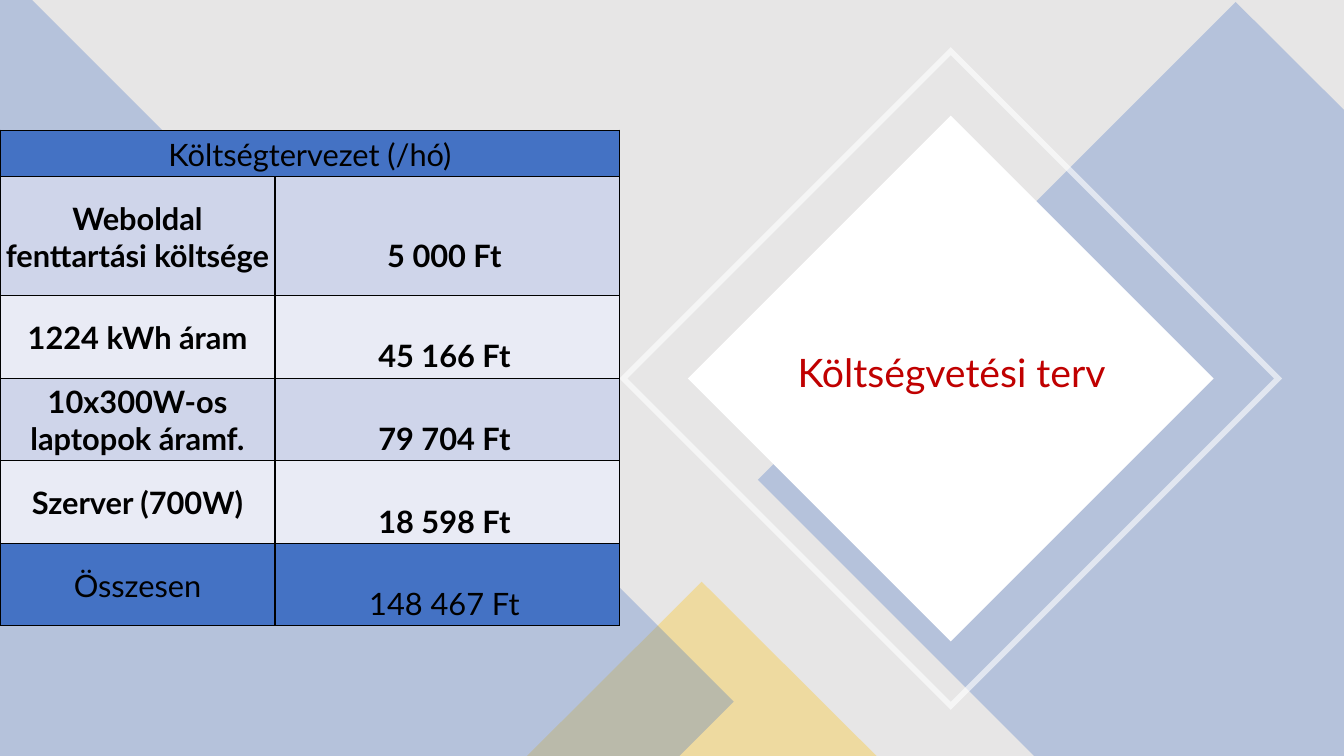
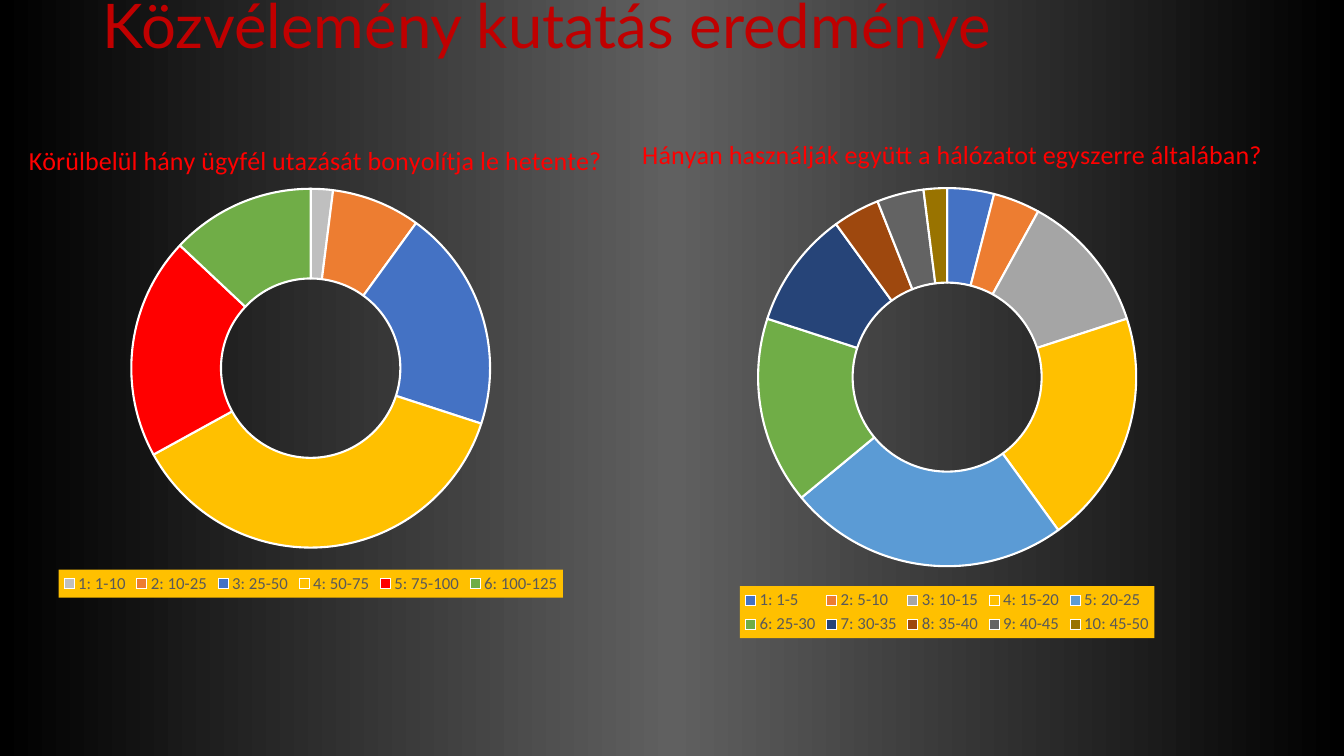
from dataclasses import dataclass

from pptx import Presentation
from pptx.chart.data import CategoryChartData
from pptx.dml.color import RGBColor
from pptx.enum.chart import XL_CHART_TYPE, XL_LEGEND_POSITION
from pptx.enum.shapes import MSO_SHAPE
from pptx.enum.text import MSO_ANCHOR, PP_ALIGN
from pptx.oxml import parse_xml
from pptx.oxml.ns import nsdecls, qn
from pptx.util import Cm, Pt


@dataclass(frozen=True)
class Theme:
    """Colours, fonts and type sizes of the deck."""

    black: str = "000000"
    white: str = "FFFFFF"
    backdrop: str = "E7E6E6"
    glow: str = "606060"
    blue: str = "4472C4"
    gold: str = "FFC000"
    orange: str = "ED7D31"
    green: str = "70AD47"
    red: str = "FF0000"
    title: str = "C00000"
    legend: str = "595959"
    row_dark: str = "CFD5EA"
    row_light: str = "E9EBF5"
    font: str = "Lato"
    chart_font: str = "Calibri"
    title_size: float = 44
    diamond_title_size: float = 28
    table_size: float = 22
    question_size: float = 18.6
    legend_size: float = 12
    chart_size: float = 10


THEME = Theme()
WIDTH, HEIGHT = 33.87, 19.05


def style_font(font, name, size, colour):
    """Set typeface, size and colour of regular text."""
    font.name, font.size, font.bold = name, Pt(size), False
    font.color.rgb = RGBColor.from_string(colour)


def paint(shape, colour, opacity=100):
    """Give a shape a flat, possibly translucent fill without outline."""
    shape.shadow.inherit = False
    shape.line.fill.background()
    shape.fill.solid()
    shape.fill.fore_color.rgb = RGBColor.from_string(colour)
    if opacity < 100:
        tint = shape.element.spPr.find(qn("a:solidFill"))[0]
        tint.append(parse_xml(f'<a:alpha {nsdecls("a")} val="{opacity * 1000}"/>'))


def add_preset(slide, kind, box, colour, opacity=100):
    """Draw a preset shape in a box given in centimetres."""
    shape = slide.shapes.add_shape(kind, *map(Cm, box))
    paint(shape, colour, opacity)
    return shape


def add_diamond(slide, kind, side, colour, opacity=100):
    """Draw a square standing on its corner around the title's centre."""
    box = (23.96 - side / 2, 9.54 - side / 2, side, side)
    diamond = add_preset(slide, kind, box, colour, opacity)
    diamond.rotation = 45
    return diamond


def add_band(slide, corners):
    """Draw a translucent blue polygon through the corners."""
    points = [(Cm(x), Cm(y)) for x, y in corners]
    builder = slide.shapes.build_freeform(*points[0])
    builder.add_line_segments(points[1:], close=True)
    paint(builder.convert_to_shape(), THEME.blue, 30)


def add_title(slide, text, box, size, align):
    """Write a slide title, centred vertically in its box."""
    frame = slide.shapes.add_textbox(*map(Cm, box)).text_frame
    frame.word_wrap = True
    frame.vertical_anchor = MSO_ANCHOR.MIDDLE
    frame.text = text
    line = frame.paragraphs[0]
    line.alignment, line.line_spacing = align, 0.9
    style_font(line.runs[0].font, THEME.font, size, THEME.title)


def fill_cell(cell, text, colour, bold=False, is_value=False):
    """Write one bordered table cell, with values set a line lower."""
    properties = cell._tc.get_or_add_tcPr()
    for side in "LRTB":
        properties.append(parse_xml(
            f'<a:ln{side} {nsdecls("a")} w="12700"><a:solidFill>'
            f'<a:srgbClr val="{THEME.black}"/></a:solidFill></a:ln{side}>'))
    cell.fill.solid()
    cell.fill.fore_color.rgb = RGBColor.from_string(colour)
    cell.vertical_anchor = MSO_ANCHOR.MIDDLE
    cell.margin_left, cell.margin_bottom = Cm(0.05), 0
    cell.margin_right = Cm(0.2 if is_value else 0.05)
    cell.margin_top = Cm(0.96 if is_value else 0.05)
    cell.text = text
    line = cell.text_frame.paragraphs[0]
    line.alignment = PP_ALIGN.CENTER
    style_font(line.font, THEME.font, THEME.table_size, THEME.black)
    for run in line.runs:
        style_font(run.font, THEME.font, THEME.table_size, THEME.black)
        run.font.bold = bold


def add_cost_table(slide, heading, costs, total):
    """Build the monthly cost table with its heading and total rows."""
    widths = (6.93, 8.69)
    heights = (1.17, 3.0, 2.08, 2.08, 2.08, 2.08)
    table = slide.shapes.add_table(
        len(heights), len(widths), 0, Cm(3.28), Cm(sum(widths)), Cm(sum(heights))).table
    for column, width in zip(table.columns, widths):
        column.width = Cm(width)
    for row, height in zip(table.rows, heights):
        row.height = Cm(height)
    for index, (label, value) in enumerate([(heading, ""), *costs, total]):
        is_cost = 0 < index <= len(costs)
        stripe = THEME.row_dark if index % 2 else THEME.row_light
        colour = stripe if is_cost else THEME.blue
        fill_cell(table.cell(index, 0), label, colour, is_cost)
        fill_cell(table.cell(index, 1), value, colour, is_cost, bool(value))
    table.cell(0, 0).merge(table.cell(0, 1))


def place(element, position, target="", **fractions):
    """Give a chart part a manual layout in fractions of the chart."""
    for old in element.findall(qn("c:layout")):
        element.remove(old)
    modes = "".join(f'<c:{axis}Mode val="edge"/>' for axis in "xy")
    values = "".join(f'<c:{key} val="{value:.4f}"/>' for key, value in fractions.items())
    element.insert(position, parse_xml(
        f'<c:layout {nsdecls("c")}><c:manualLayout>{target}{modes}{values}'
        '</c:manualLayout></c:layout>'))


def add_question(chart, question, left):
    """Set the survey question as the chart title."""
    chart.has_title = True
    frame = chart.chart_title.text_frame
    frame.text = question
    style_font(frame.paragraphs[0].runs[0].font, THEME.chart_font,
               THEME.question_size, THEME.red)
    place(chart.chart_title._element, 1, x=left, y=0.04)


def add_legend(chart):
    """Put a gold legend under the ring."""
    chart.has_legend = True
    legend = chart.legend
    legend.position = XL_LEGEND_POSITION.BOTTOM
    legend.include_in_layout = False
    style_font(legend.font, THEME.chart_font, THEME.legend_size, THEME.legend)
    legend._element.find(qn("c:txPr")).addprevious(parse_xml(
        f'<c:spPr {nsdecls("c", "a")}><a:solidFill><a:srgbClr val="{THEME.gold}"/>'
        '</a:solidFill></c:spPr>'))


def add_survey_ring(slide, box, question, question_left, ring_height, answers):
    """Draw one survey question as a doughnut of (label, share, colour) answers."""
    labels, shares, colours = zip(*answers)
    data = CategoryChartData()
    data.categories = labels
    data.add_series("Series 1", shares)
    chart = slide.shapes.add_chart(XL_CHART_TYPE.DOUGHNUT, *map(Cm, box), data).chart
    style_font(chart.font, THEME.chart_font, THEME.chart_size, THEME.black)
    add_question(chart, question, question_left)
    add_legend(chart)
    ring = chart.plots[0]
    ring.vary_by_categories = True
    ring._element.find(qn("c:holeSize")).set("val", "75")
    ring_width = ring_height * box[3] / box[2]
    place(ring._element.getparent(), 0, '<c:layoutTarget val="inner"/>',
          x=(1 - ring_width) / 2, y=0.148, w=ring_width, h=ring_height)
    for index, colour in enumerate(colours):
        slice_format = ring.series[0].points[index].format
        slice_format.fill.solid()
        slice_format.fill.fore_color.rgb = RGBColor.from_string(colour)
        slice_format.line.color.rgb = RGBColor.from_string(THEME.white)
        slice_format.line.width = Pt(1.5)


def set_glow_background(slide):
    """Fill the background with a grey glow between black edges."""
    slide.background.fill.solid()
    flat = next(slide.element.iter(qn("p:bgPr"))).find(qn("a:solidFill"))
    stops = "".join(
        f'<a:gs pos="{position * 1000}"><a:srgbClr val="{colour}"/></a:gs>'
        for position, colour in ((0, THEME.black), (50, THEME.glow), (100, THEME.black)))
    flat.getparent().replace(flat, parse_xml(
        f'<a:gradFill {nsdecls("a")} rotWithShape="1"><a:gsLst>{stops}</a:gsLst>'
        '<a:lin ang="10800000" scaled="0"/></a:gradFill>'))


def build_budget(slide):
    """Lay out the budget slide."""
    add_preset(slide, MSO_SHAPE.RECTANGLE, (0, 0, WIDTH, HEIGHT), THEME.backdrop)
    add_band(slide, [(31.14, 0.05), (WIDTH, 2.77), (WIDTH, HEIGHT),
                     (26.06, HEIGHT), (19.1, 12.09)])
    add_preset(slide, MSO_SHAPE.ISOSCELES_TRIANGLE, (13.28, 14.66, 8.81, 4.39),
               THEME.gold, 30)
    add_diamond(slide, MSO_SHAPE.RECTANGLE, 9.37, THEME.white)
    outline = add_diamond(slide, MSO_SHAPE.FRAME, 11.81, THEME.white, 60)
    outline.adjustments[0] = 0.012
    add_title(slide, "Költségvetési terv", (18.95, 7.57, 10.06, 3.73),
              THEME.diamond_title_size, PP_ALIGN.CENTER)
    add_band(slide, [(0.81, 0), (0, 0), (0, HEIGHT), (17.12, HEIGHT), (18.49, 17.68)])
    add_cost_table(slide, "Költségtervezet (/hó)", [
        ("Weboldal fenttartási költsége", "5 000 Ft"),
        ("1224 kWh áram", "45 166 Ft"),
        ("10x300W-os laptopok áramf.", "79 704 Ft"),
        ("Szerver (700W)", "18 598 Ft"),
    ], ("Összesen", "148 467 Ft"))


def build_survey(slide):
    """Lay out the survey slide."""
    set_glow_background(slide)
    add_survey_ring(
        slide, (-2.95, 2.97, 21.56, 12.09),
        "Körülbelül hány ügyfél utazását bonyolítja le hetente?", 0.165, 0.748, [
            ("1: 1-10", 2, "BFBFBF"),
            ("2: 10-25", 8, THEME.orange),
            ("3: 25-50", 20, THEME.blue),
            ("4: 50-75", 37, THEME.gold),
            ("5: 75-100", 20, THEME.red),
            ("6: 100-125", 13, THEME.green),
        ])
    add_title(slide, "Közvélemény kutatás eredménye", (2.34, -1.12, 29.21, 3.68),
              THEME.title_size, PP_ALIGN.LEFT)
    add_survey_ring(
        slide, (13.89, 2.77, 19.96, 13.31),
        "Hányan használják együtt a hálózatot egyszerre általában?", 0.109, 0.716, [
            ("1: 1-5", 4, THEME.blue),
            ("2: 5-10", 4, THEME.orange),
            ("3: 10-15", 12, "A5A5A5"),
            ("4: 15-20", 20, THEME.gold),
            ("5: 20-25", 24, "5B9BD5"),
            ("6: 25-30", 16, THEME.green),
            ("7: 30-35", 10, "264478"),
            ("8: 35-40", 4, "9E480E"),
            ("9: 40-45", 4, "636363"),
            ("10: 45-50", 2, "997300"),
        ])


def main():
    """Build and save the deck."""
    deck = Presentation()
    deck.slide_width, deck.slide_height = Cm(WIDTH), Cm(HEIGHT)
    for build in (build_budget, build_survey):
        build(deck.slides.add_slide(deck.slide_layouts[6]))
    deck.save("out.pptx")


if __name__ == "__main__":
    main()
